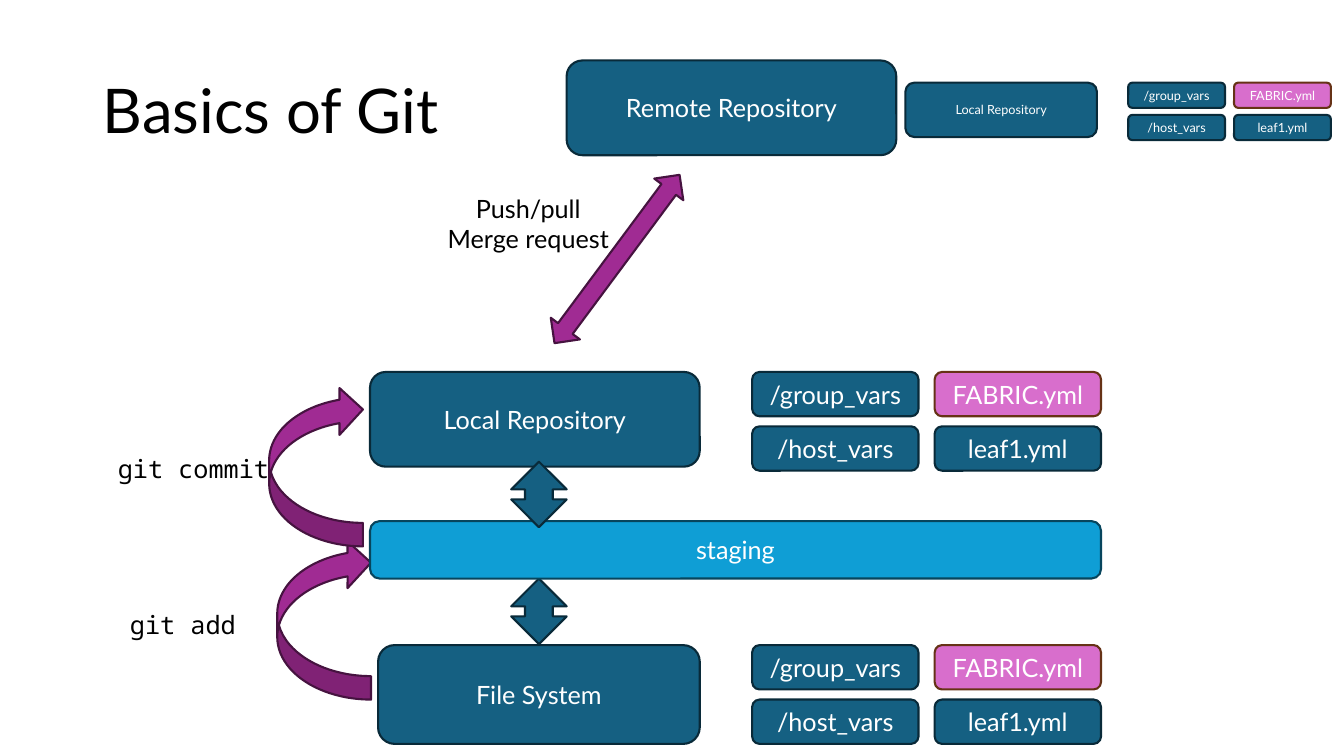
from pptx import Presentation
from pptx.dml.color import RGBColor
from pptx.enum.shapes import MSO_SHAPE as SHAPE
from pptx.enum.text import MSO_ANCHOR as ANCHOR, MSO_AUTO_SIZE as FIT, PP_ALIGN as ALIGN
from pptx.oxml.ns import qn
from pptx.util import Inches, Pt

COLORS = {
    "text": "000000",
    "label": "FFFFFF",
    "repo": "156082", "repo_line": "092A39",
    "changed": "D86ECC", "changed_line": "663216",
    "staging": "0F9ED5", "staging_line": "07455D",
    "action": "A02B93", "action_line": "461340",
}
SANS, MONO = "Lato", "Noto Sans Mono"
FILES = [["/group_vars", "FABRIC.yml"], ["/host_vars", "leaf1.yml"]]


def color(name):
    return RGBColor.from_string(COLORS[name])


class GitSlide:
    def __init__(self, prs):
        self.slide = prs.slides.add_slide(prs.slide_layouts[5])
        self.shapes = self.slide.shapes

    def style(self, p, size, name, font=SANS, align=ALIGN.CENTER):
        p.alignment = align
        p.font.size, p.font.name = Pt(size), font
        p.font.color.rgb = color(name)

    def title(self, text, x, y, w, h):
        sp = self.shapes.title
        sp.left, sp.top, sp.width, sp.height = map(Inches, (x, y, w, h))
        tf = sp.text_frame
        tf.text, tf.vertical_anchor = text, ANCHOR.MIDDLE
        p = tf.paragraphs[0]
        p.line_spacing = 0.9
        self.style(p, 44, "text", align=ALIGN.LEFT)

    def shape(self, kind, x, y, w, h, fill, parent=None):
        shapes = parent.shapes if parent else self.shapes
        sp = shapes.add_shape(kind, *map(Inches, (x, y, w, h)))
        sp.shadow.inherit = False
        sp.fill.solid()
        sp.fill.fore_color.rgb = color(fill)
        sp.line.color.rgb = color(fill + "_line")
        sp.line.width = Pt(1.5)
        return sp

    def box(self, text, x, y, w, h, fill="repo", size=18, parent=None):
        sp = self.shape(SHAPE.ROUNDED_RECTANGLE, x, y, w, h, fill, parent)
        tf = sp.text_frame
        tf.text, tf.vertical_anchor = text, ANCHOR.MIDDLE
        self.style(tf.paragraphs[0], size, "label")

    def files(self, x, y, w, h, dx, dy, size=18, parent=None):
        """Draw the two-by-two grid of folders and files, the changed one in pink."""
        for row, names in enumerate(FILES):
            for col, name in enumerate(names):
                fill = "changed" if name == "FABRIC.yml" else "repo"
                self.box(name, x + col * dx, y + row * dy, w, h, fill, size, parent)

    def exchange(self, x, y, w, h, fill="repo", rotation=0):
        """Draw a two-headed block arrow."""
        self.shape(SHAPE.UP_DOWN_ARROW, x, y, w, h, fill).rotation = rotation

    def curve_up(self, x, y, w, h):
        """Draw a curved arrow that leads from the lower box to the upper one."""
        sp = self.shape(SHAPE.CURVED_RIGHT_ARROW, x, y, w, h, "action")
        sp._element.spPr.find(qn("a:xfrm")).set("flipV", "1")

    def text(self, lines, x, y, w, h, font=SANS, align=ALIGN.LEFT):
        tf = self.shapes.add_textbox(*map(Inches, (x, y, w, h))).text_frame
        tf.word_wrap, tf.auto_size = True, FIT.SHAPE_TO_FIT_TEXT
        tf.text = "\n".join(lines)
        for p in tf.paragraphs:
            self.style(p, 18, "text", font, align)


def main():
    prs = Presentation()
    prs.slide_width, prs.slide_height = Inches(13.33), Inches(7.5)
    s = GitSlide(prs)
    s.title("Basics of Git", 0.92, 0.4, 11.5, 1.45)

    s.box("File System", 3.75, 6.4, 3.19, 0.98)
    s.box("Local Repository", 3.67, 3.69, 3.27, 0.94)
    for y in (6.4, 3.69):
        s.files(7.46, y, 1.65, 0.44, dx=1.81, dy=0.54)

    s.exchange(5.07, 5.74, 0.55, 0.65)
    s.curve_up(2.75, 5.35, 0.93, 1.59)
    s.curve_up(2.67, 3.83, 0.93, 1.59)
    s.box("staging", 3.67, 5.17, 7.25, 0.57, "staging")
    s.exchange(5.07, 4.58, 0.55, 0.65)
    s.text(["git add"], 1.19, 6, 1.79, 0.4, MONO)
    s.text(["git commit"], 1.07, 4.45, 1.79, 0.4, MONO)

    s.box("Remote Repository", 5.62, 0.6, 3.27, 0.94)
    s.exchange(5.94, 1.53, 0.36, 2.08, "action", rotation=36.6)
    s.text(["Push/pull", "Merge request"], 4, 1.87, 2.48, 0.71, align=ALIGN.CENTER)

    clone = s.shapes.add_group_shape()
    s.box("Local Repository", 8.98, 0.82, 1.9, 0.54, size=9, parent=clone)
    s.files(11.19, 0.82, 0.96, 0.25, dx=1.05, dy=0.32, size=9, parent=clone)

    prs.save("out.pptx")


if __name__ == "__main__":
    main()
